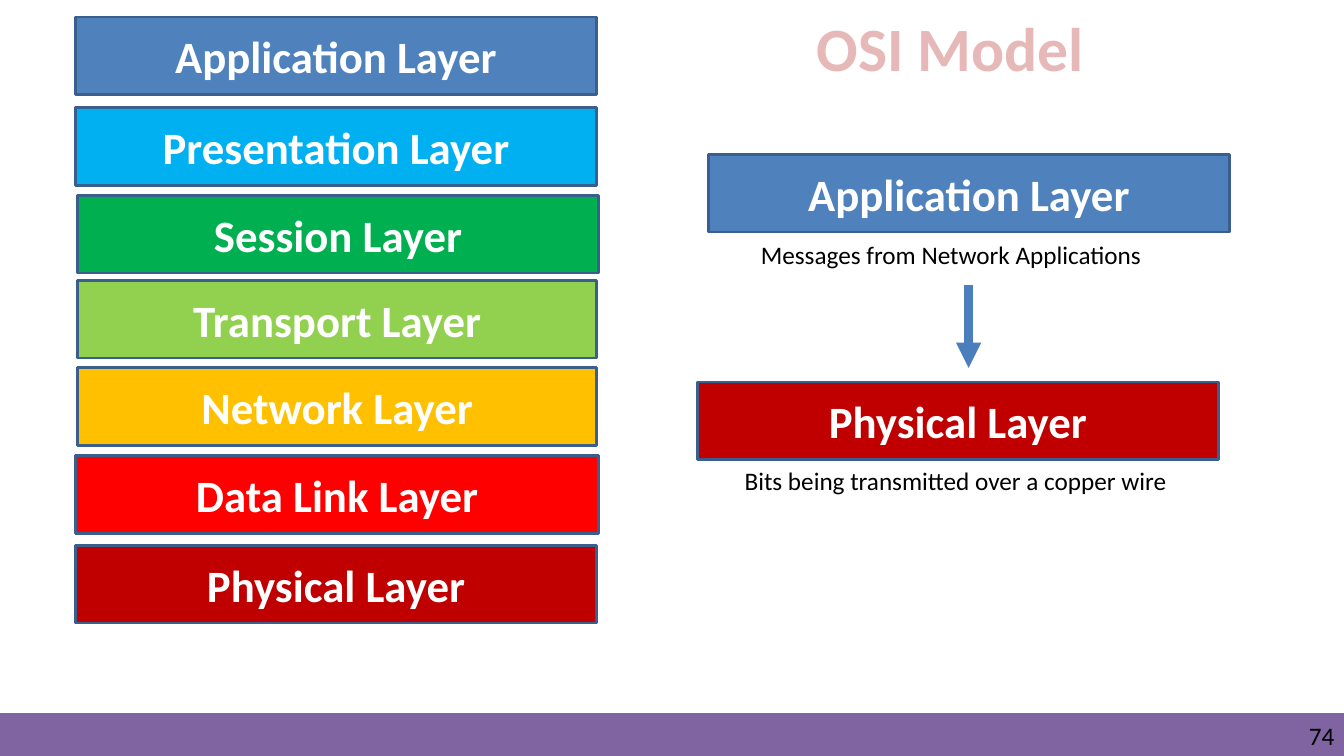
from pptx import Presentation
from pptx.util import Pt
from pptx.dml.color import RGBColor
from pptx.enum.shapes import MSO_SHAPE as Shape, MSO_CONNECTOR as Link
from pptx.enum.text import PP_ALIGN as Align, MSO_ANCHOR as Anchor
from pptx.oxml.ns import qn
from lxml.etree import SubElement

FONT = "Calibri"
BLUE, RED, PURPLE = "4F81BD", "C00000", "8064A2"
HIGH = 55.5  # height of a layer bar

# name, fill, left, top and width within the stack
LAYERS = [
    ("Application Layer", BLUE, 0, 0, 372.2),
    ("Presentation Layer", "00B0F0", 0, 64.8, 372.2),
    ("Session Layer", "00B050", 1.5, 127.4, 372.2),
    ("Transport Layer", "92D050", 1.5, 188, 370.8),
    ("Network Layer", "FFC000", 1.5, 250.6, 370.8),
    ("Data Link Layer", "FF0000", 0, 313.2, 373.7),
    ("Physical Layer", RED, 0, 377.3, 372.2),
]


def color(code):
    return RGBColor.from_string(code)


def write(frame, text, size, code, bold=False, align=Align.LEFT):
    para = frame.paragraphs[0]
    para.alignment = align
    run = para.add_run()
    run.text = text
    font = run.font
    font.name, font.size, font.bold = FONT, Pt(size), bold
    font.color.rgb = color(code)


def block(slide, x, y, w, h, fill, edge, weight):
    rect = slide.shapes.add_shape(Shape.RECTANGLE, Pt(x), Pt(y), Pt(w), Pt(h))
    rect.shadow.inherit = False
    rect.fill.solid()
    rect.fill.fore_color.rgb = color(fill)
    rect.line.color.rgb = color(edge)
    rect.line.width = Pt(weight)
    return rect


def layer(slide, x, y, w, name, fill):
    frame = block(slide, x, y, w, HIGH, fill, "3A5F8C", 2).text_frame
    frame.vertical_anchor = Anchor.MIDDLE
    write(frame, name, 32, "FFFFFF", True, Align.CENTER)


def label(slide, x, y, w, h, text, align=Align.LEFT):
    frame = slide.shapes.add_textbox(Pt(x), Pt(y), Pt(w), Pt(h)).text_frame
    frame.word_wrap = False
    write(frame, text, 18, "000000", align=align)
    return frame


def arrow(slide, x, top, end):
    line = slide.shapes.add_connector(Link.STRAIGHT, Pt(x), Pt(top), Pt(x), Pt(end))
    line.line.color.rgb = color("4B7EBC")
    line.line.width = Pt(6)
    SubElement(line.line._get_or_add_ln(), qn("a:tailEnd"), type="triangle")
    SubElement(line._element.spPr, qn("a:effectLst"))


def footer(slide, x, y, w, h):
    block(slide, x, y, w, h, PURPLE, PURPLE, 1)
    frame = label(slide, x + w - 228, y + 4.8, 221.2, 21.6, "74", Align.RIGHT)
    frame.word_wrap = True
    frame.margin_left = frame.margin_right = 0
    frame.margin_top = frame.margin_bottom = 0


def stack(slide, x, y):
    for name, fill, left, top, wide in LAYERS:
        layer(slide, x + left, y + top, wide, name, fill)


def heading(slide, x, y, w, h):
    title = slide.shapes.title
    title.left, title.top, title.width, title.height = Pt(x), Pt(y), Pt(w), Pt(h)
    frame = title.text_frame
    frame.word_wrap = False
    frame.vertical_anchor = Anchor.TOP
    write(frame, "OSI Model", 44, "E6B9B8", True)


def journey(slide, x, y, w):
    # Application messages go down to bits on the wire
    layer(slide, x + 7.9, y, w, "Application Layer", BLUE)
    label(slide, x + 38.2, y + 56.9, 313, 29, "Messages from Network Applications")
    arrow(slide, x + 193.7, y + 93.6, y + 152.6)
    layer(slide, x, y + 162.7, w, "Physical Layer", RED)
    label(slide, x + 26.6, y + 218.9, 343.4, 29,
          "Bits being transmitted over a copper wire")


def main():
    deck = Presentation()
    deck.slide_width, deck.slide_height = Pt(960), Pt(540)
    slide = deck.slides.add_slide(deck.slide_layouts[5])
    footer(slide, 0, 510, 960, 30)
    stack(slide, 54, 12.2)
    heading(slide, 576, 3.6, 232, 60.5)
    journey(slide, 498.2, 110.2, 372.2)
    deck.save("out.pptx")


if __name__ == "__main__":
    main()
